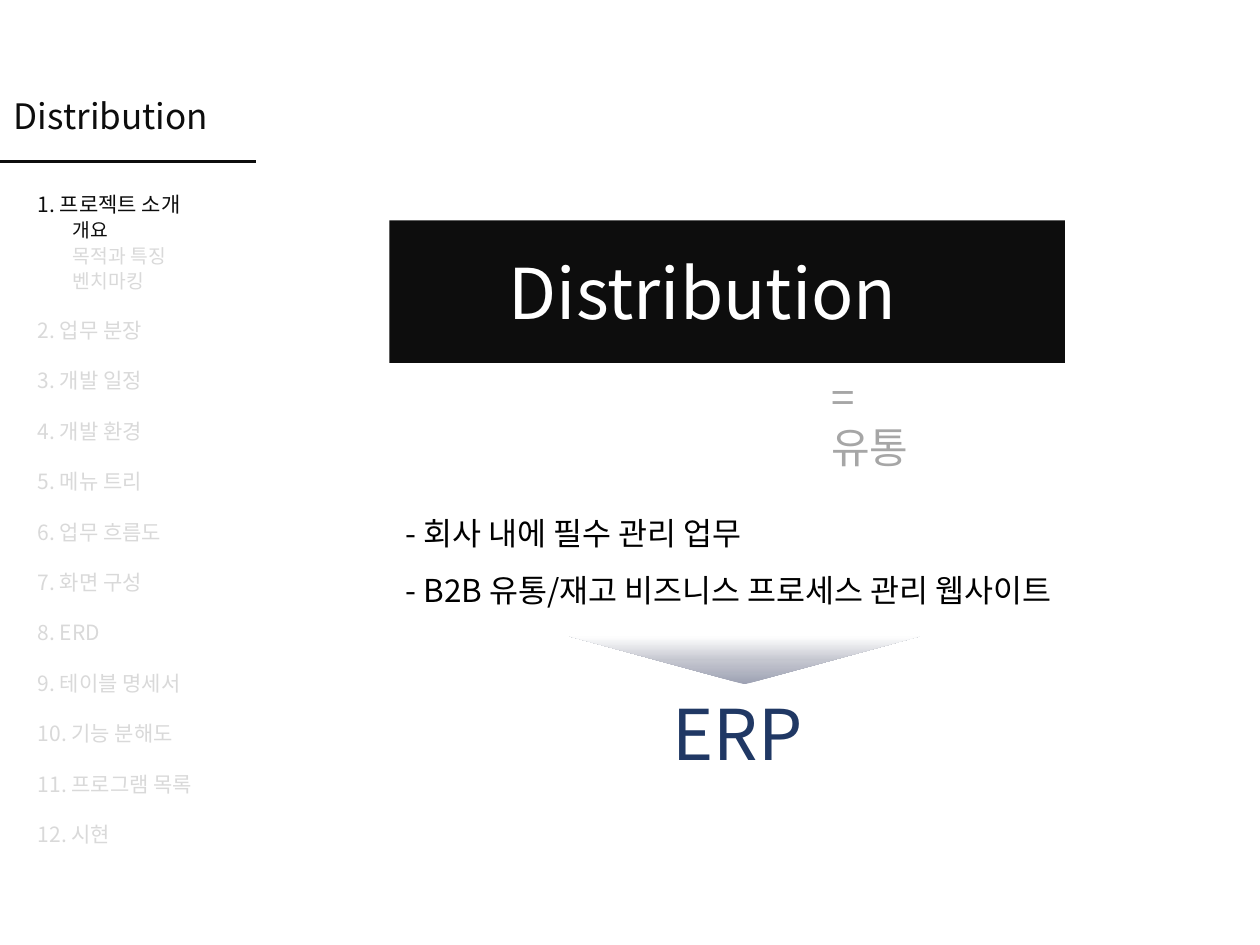
from copy import deepcopy
from dataclasses import dataclass

from lxml.etree import SubElement
from pptx import Presentation
from pptx.dml.color import RGBColor
from pptx.enum.shapes import MSO_CONNECTOR, MSO_SHAPE
from pptx.enum.text import MSO_ANCHOR, MSO_AUTO_SIZE, PP_ALIGN
from pptx.oxml.ns import qn
from pptx.util import Pt


@dataclass(frozen=True)
class Theme:
    """Colours, type sizes and spacing of the slide."""
    font: str = "Noto Sans CJK KR"
    ink: str = "0D0D0D"
    black: str = "000000"
    white: str = "FFFFFF"
    grey: str = "A6A6A6"
    pale: str = "D9D9D9"
    navy: str = "203864"
    fade: tuple = ((0, "9DA1B3"), (0.5, "C4C6CF"), (1, "FFFFFF"))
    hero: int = 40
    mark: int = 24
    head: int = 20
    fact: int = 18
    item: int = 12
    sub: int = 11
    lead: float = 1.2
    rule: float = 1.5


class Page:
    """Draws elements on one slide in one style."""

    def __init__(self, deck, theme):
        """Add the slide to the deck."""
        self.theme = theme
        self.slide = deck.slides.add_slide(deck.slide_layouts[3])

    def place(self, shape, box):
        """Move a shape to a box of left, top, width and height."""
        shape.left, shape.top, shape.width, shape.height = map(Pt, box)

    def typeset(self, frame, lines):
        """Fill a frame from rows of text, size, colour, line height, indent."""
        frame.word_wrap = True
        frame.auto_size = MSO_AUTO_SIZE.NONE
        frame.vertical_anchor = MSO_ANCHOR.TOP
        for i, (text, size, color, lead, left) in enumerate(lines):
            para = frame.add_paragraph() if i else frame.paragraphs[0]
            para.alignment = PP_ALIGN.LEFT
            para.line_spacing = Pt(lead)
            para.space_before = para.space_after = Pt(0)
            props = para._p.get_or_add_pPr()
            props.set("marL", str(Pt(left)))
            props.set("indent", "0")
            SubElement(props, qn("a:buNone"))
            run = para.add_run()
            run.text = text
            run.font.size = Pt(size)
            run.font.name = self.theme.font
            run.font.color.rgb = RGBColor.from_string(color)
            east = SubElement(run._r.get_or_add_rPr(), qn("a:ea"))
            east.set("typeface", self.theme.font)

    def row(self, text, size, color, gap=1):
        """Return one line of text with its height set by its size."""
        return text, size, color, size * self.theme.lead * gap, 0

    def holder(self, key, box, lines):
        """Fill a template placeholder."""
        shape = self.slide.placeholders[key]
        self.place(shape, box)
        self.typeset(shape.text_frame, lines)

    def label(self, box, text, size, color):
        """Add a text box of one line."""
        shape = self.slide.shapes.add_textbox(*map(Pt, box))
        self.typeset(shape.text_frame, [self.row(text, size, color)])

    def shape(self, kind, box):
        """Add a plain shape with no line or shadow."""
        shape = self.slide.shapes.add_shape(kind, *map(Pt, box))
        shape.shadow.inherit = False
        shape.line.fill.background()
        return shape

    def band(self, box, color):
        """Add a filled rectangle."""
        fill = self.shape(MSO_SHAPE.RECTANGLE, box).fill
        fill.solid()
        fill.fore_color.rgb = RGBColor.from_string(color)

    def arrow(self, box, stops):
        """Add a triangle that points down and fades upward."""
        shape = self.shape(MSO_SHAPE.ISOSCELES_TRIANGLE, box)
        shape.rotation = 180
        shape.fill.gradient()
        shape.fill.gradient_angle = 270
        group = shape._element.spPr.find(".//" + qn("a:gsLst"))
        group.insert(1, deepcopy(group[0]))
        for stop, (spot, color) in zip(shape.fill.gradient_stops, stops):
            stop.position = spot
            stop.color.rgb = RGBColor.from_string(color)

    def rule(self, left, right, top, color):
        """Add a level line."""
        line = self.slide.shapes.add_connector(
            MSO_CONNECTOR.STRAIGHT, Pt(left), Pt(top), Pt(right), Pt(top))
        line.line.color.rgb = RGBColor.from_string(color)
        line.line.width = Pt(self.theme.rule)
        SubElement(line._element.spPr, qn("a:effectLst"))


def main():
    """Build the slide and save it."""
    deck = Presentation()
    deck.slide_width, deck.slide_height = Pt(720), Pt(540)
    look = Theme()
    page = Page(deck, look)

    page.band((222.5, 126, 386, 81.4), look.ink)
    page.label((283.7, 139, 262.8, 55.4), "Distribution", look.hero, look.white)
    page.label((468, 208.8, 75, 36), "= 유통", look.mark, look.grey)
    facts = ("- 회사 내에 필수 관리 업무",
             "- B2B 유통/재고 비즈니스 프로세스 관리 웹사이트")
    page.holder(2, (224.6, 279.4, 411, 72.7),
                [page.row(fact, look.fact, look.black, 1.5) for fact in facts])
    page.label((377.3, 391, 96.5, 55.4), "ERP", look.hero, look.navy)
    page.arrow((325.4, 363.6, 200.2, 27.4), look.fade)

    page.rule(0, 146.2, 92.2, look.ink)
    page.holder(0, (0.7, 50.4, 138.2, 31.7),
                [page.row("Distribution", look.head, look.ink)])
    subs = (("개요", look.ink), ("목적과 특징", look.pale), ("벤치마킹", look.pale))
    items = ("업무 분장", "개발 일정", "개발 환경", "메뉴 트리", "업무 흐름도",
             "화면 구성", "ERD", "테이블 명세서", "기능 분해도",
             "프로그램 목록", "시현")
    menu = [page.row("1. 프로젝트 소개", look.item, look.ink)]
    menu += [(text, look.sub, color, look.item * look.lead, 20)
             for text, color in subs]
    menu += [page.row(f"{n}. {text}", look.item, look.pale, 2)
             for n, text in enumerate(items, 2)]
    page.holder(1, (14.4, 105.8, 104.4, 385.2), menu)

    deck.save("out.pptx")


if __name__ == "__main__":
    main()
